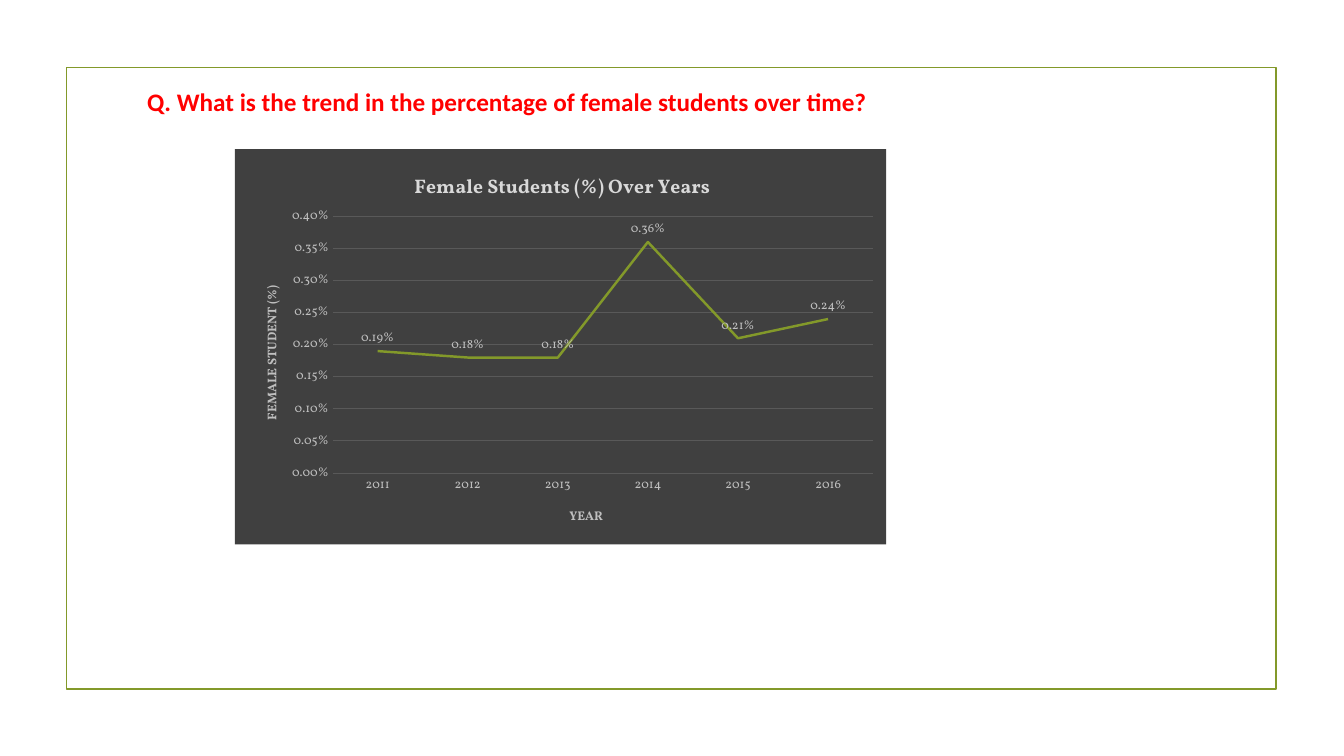
"""Build the slide on the share of female students over the years."""
from dataclasses import dataclass
from typing import Any

from lxml import etree
from pptx import Presentation
from pptx import util as u
from pptx.chart.data import CategoryChartData
from pptx.dml.color import RGBColor
from pptx.enum import chart as ch, shapes, text
from pptx.oxml import parse_xml
from pptx.oxml.ns import nsdecls, qn

OLIVE, DARK, GRID, GREY, LIGHT, RED = "83992A", "404040", "595959", "BFBFBF", "D9D9D9", "FF0000"
SERIF = "Vollkorn"


@dataclass(frozen=True)
class Box:
    """A place on the slide, in percent of its width and height."""
    x: float
    y: float
    w: float
    h: float

    def emu(self, prs: Any) -> list[int]:
        """Return left, top, width and height in EMU."""
        sides = (prs.slide_width, prs.slide_height) * 2
        return [round(side * part / 100) for side, part in zip(sides, (self.x, self.y, self.w, self.h))]


@dataclass(frozen=True)
class Caption:
    """A chart caption; x and y are shares of the chart's size."""
    text: str
    size: float
    color: str
    x: float
    y: float
    turn: int = 0


FRAME = Box(4.95, 8.93, 90, 82.27)
QUESTION = Box(10.2, 10.8, 55.74, 5.33)
CHART = Box(17.48, 19.73, 48.46, 52.27)
HEADING = Caption("Female Students (%) Over Years", 14, LIGHT, 0.27, 0.05)
YEAR = Caption("YEAR", 9, GREY, 0.51, 0.9)
STUDENT = Caption("FEMALE STUDENT (%)", 9, GREY, 0.04, 0.34, -90)
RATES = {"2011": 0.0019, "2012": 0.0018, "2013": 0.0018,
         "2014": 0.0036, "2015": 0.0021, "2016": 0.0024}


def rgb(color: str) -> RGBColor:
    """Turn a hex string into a colour."""
    return RGBColor.from_string(color)


def style(font: Any, name: str, size: float, color: str, bold: bool = False) -> None:
    """Set the look of a font."""
    font.name, font.size, font.bold = name, u.Pt(size), bold
    font.color.rgb = rgb(color)


def stroke(line: Any, color: str, width: float) -> None:
    """Set the colour and width of a line."""
    line.color.rgb = rgb(color)
    line.width = u.Pt(width)


def place(el: Any, index: int, **shares: float) -> None:
    """Give a chart part a manual layout."""
    for old in el.findall(qn("c:layout")):
        el.remove(old)
    layout = parse_xml(f'<c:layout {nsdecls("c")}><c:manualLayout/></c:layout>')
    modes = {"xMode": "edge", "yMode": "edge"}
    if "w" in shares:
        modes = {"layoutTarget": "inner", **modes}
    for tag, value in {**modes, **shares}.items():
        etree.SubElement(layout[0], qn(f"c:{tag}")).set("val", str(value))
    el.insert(index, layout)


def write_caption(title: Any, cap: Caption) -> None:
    """Write and place a chart or axis title."""
    r = title.text_frame.paragraphs[0].add_run()
    r.text = cap.text
    style(r.font, SERIF, cap.size, cap.color, True)
    title.element.find(".//" + qn("a:bodyPr")).set("rot", str(cap.turn * 60000))
    place(title.element, 1, x=cap.x, y=cap.y)


def style_axis(axis: Any, cap: Caption) -> None:
    """Format an axis without line or ticks and caption it."""
    axis.major_tick_mark = axis.minor_tick_mark = ch.XL_TICK_MARK.NONE
    axis.format.line.fill.background()
    style(axis.tick_labels.font, SERIF, 9, GREY)
    write_caption(axis.axis_title, cap)


def add_frame(s: Any, prs: Any) -> None:
    """Draw the thin frame around the content."""
    sp = s.shapes.add_shape(shapes.MSO_SHAPE.RECTANGLE, *FRAME.emu(prs))
    sp.shadow.inherit = False
    sp.fill.background()
    stroke(sp.line, OLIVE, 1.25)


def add_question(s: Any, prs: Any) -> None:
    """Write the question in the title placeholder."""
    sp = s.shapes.title
    sp.left, sp.top, sp.width, sp.height = QUESTION.emu(prs)
    tf = sp.text_frame
    tf.word_wrap, tf.auto_size = True, text.MSO_AUTO_SIZE.NONE
    tf.vertical_anchor = text.MSO_ANCHOR.TOP
    p = tf.paragraphs[0]
    p.alignment = text.PP_ALIGN.LEFT
    r = p.add_run()
    r.text = "Q. What is the trend in the percentage of female students over time?"
    style(r.font, "Calibri", 18, RED, True)


def add_trend(s: Any, prs: Any) -> None:
    """Add the line chart of yearly rates."""
    data = CategoryChartData(number_format="0.00%")
    data.categories = list(RATES)
    data.add_series("Series 1", list(RATES.values()))
    chart = s.shapes.add_chart(ch.XL_CHART_TYPE.LINE, *CHART.emu(prs), data).chart
    chart.has_legend = False
    chart.font.name, chart.font.size = SERIF, u.Pt(10)
    chart.element.chart.addnext(parse_xml(
        f'<c:spPr {nsdecls("c", "a")}><a:solidFill><a:srgbClr val="{DARK}"/></a:solidFill>'
        '<a:ln><a:noFill/></a:ln></c:spPr>'))
    write_caption(chart.chart_title, HEADING)
    place(chart.element.chart.plotArea, 0, x=0.15, y=0.17, w=0.83, h=0.65)

    style_axis(chart.category_axis, YEAR)
    rates = chart.value_axis
    style_axis(rates, STUDENT)
    rates.minimum_scale, rates.maximum_scale, rates.major_unit = 0, 0.004, 0.0005
    rates.tick_labels.number_format = "0.00%"
    rates.tick_labels.number_format_is_linked = False
    stroke(rates.major_gridlines.format.line, GRID, 0.75)

    plot = chart.plots[0]
    plot.vary_by_categories = False
    series = plot.series[0]
    series.smooth = False
    series.marker.style = ch.XL_MARKER_STYLE.NONE
    stroke(series.format.line, OLIVE, 1.75)
    labels = series.data_labels
    labels.show_value = True
    labels.position = ch.XL_LABEL_POSITION.ABOVE
    labels.number_format, labels.number_format_is_linked = "0.00%", False
    style(labels.font, SERIF, 9, GREY)


def main() -> None:
    """Build and save the slide."""
    prs = Presentation()
    prs.slide_width, prs.slide_height = u.Inches(13.33), u.Inches(7.5)
    s = prs.slides.add_slide(prs.slide_layouts.get_by_name("Title Only"))
    for draw in (add_frame, add_question, add_trend):
        draw(s, prs)
    prs.save("out.pptx")


main()
